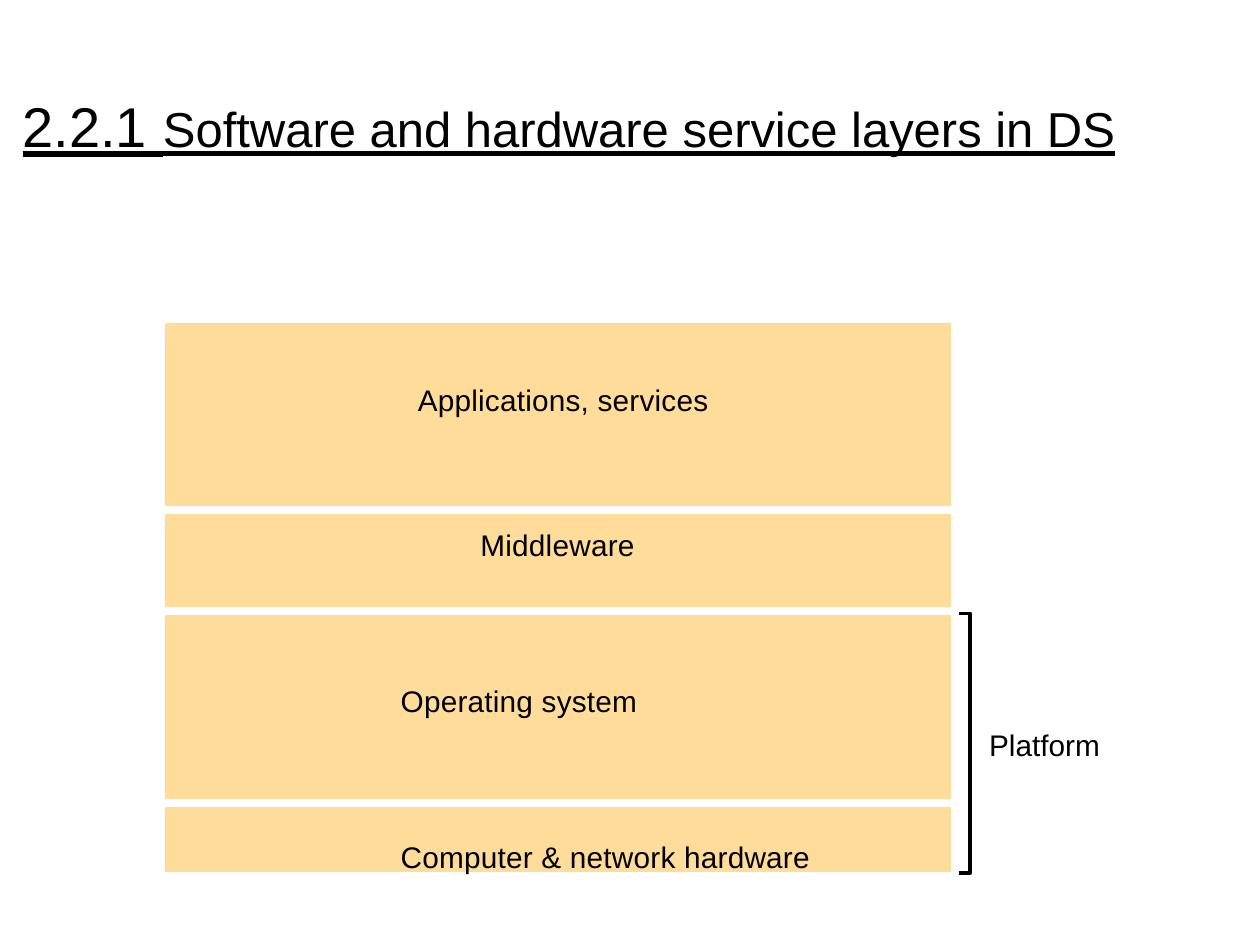
import dataclasses

import pptx
import pptx.dml.color
import pptx.enum.shapes
import pptx.enum.text
import pptx.util

Inches = pptx.util.Inches
Pt = pptx.util.Pt
RGB = pptx.dml.color.RGBColor
ALIGN = pptx.enum.text.PP_ALIGN
HEAVY = pptx.enum.text.MSO_UNDERLINE.HEAVY_LINE


@dataclasses.dataclass(frozen=True)
class Theme:
    """Colours, font and type sizes of the slide."""
    ink: RGB = RGB(0, 0, 0)
    layer: RGB = RGB(0xFF, 0xDC, 0x99)
    gap: RGB = RGB(0xFF, 0xFF, 0xFF)
    font: str = "Arial"
    number: float = 32
    title: float = 28
    label: float = 17


THEME = Theme()


def add_run(p, text, size, underline=None, spacing=0):
    """Append one run in the theme font."""
    r = p.add_run()
    r.text = text
    r.font.name = THEME.font
    r.font.size = Pt(size)
    r.font.color.rgb = THEME.ink
    r.font.underline = underline
    r.font._element.set("spc", str(spacing))


def set_frame(tf, left=0, top=0):
    """Prepare a top-anchored frame with the given margins."""
    tf.word_wrap = True
    tf.auto_size = pptx.enum.text.MSO_AUTO_SIZE.NONE
    tf.vertical_anchor = pptx.enum.text.MSO_ANCHOR.TOP
    tf.margin_left, tf.margin_top = Inches(left), Inches(top)
    tf.margin_right = tf.margin_bottom = 0
    return tf


def add_title(s, left, top, width, height):
    """Fill the title placeholder with number and heading."""
    sp = s.shapes.title
    sp.left, sp.top = Inches(left), Inches(top)
    sp.width, sp.height = Inches(width), Inches(height)
    p = set_frame(sp.text_frame, 0.01, 0.01).paragraphs[0]
    p.alignment = ALIGN.LEFT
    add_run(p, "2.2.1 ", THEME.number, HEAVY)
    add_run(p, "Software and hardware service layers in DS", THEME.title, HEAVY)


def add_layers(s, left, top, width):
    """Draw hardware, the software block and the middleware band in it."""
    for offset, height in [(3.82, 0.6), (0, 3.84), (1.52, 0.8)]:
        sp = s.shapes.add_shape(
            pptx.enum.shapes.MSO_SHAPE.RECTANGLE,
            Inches(left), Inches(top + offset), Inches(width), Inches(height))
        sp.shadow.inherit = False
        sp.fill.solid()
        sp.fill.fore_color.rgb = THEME.layer
        sp.line.color.rgb = THEME.gap
        sp.line.width = Pt(4.6)


def add_labels(s, left, top, width, height, labels):
    """Write the layer names as spaced paragraphs of one text box."""
    tb = s.shapes.add_textbox(Inches(left), Inches(top),
                              Inches(width), Inches(height))
    tf = set_frame(tb.text_frame, top=0.7)
    for i, (text, align, indent, before) in enumerate(labels):
        p = tf.add_paragraph() if i else tf.paragraphs[0]
        p.alignment = align
        p.space_before = Pt(before)
        p._p.get_or_add_pPr().set("marL", str(Inches(indent)))
        add_run(p, text, THEME.label, spacing=10)


def add_platform(s, left, top, width, height):
    """Draw the bracket with its label to the right."""
    right, bottom = left + width, top + height
    builder = s.shapes.build_freeform(Inches(left), Inches(top))
    corners = [(right, top), (right, bottom), (left, bottom)]
    builder.add_line_segments(
        [(Inches(x), Inches(y)) for x, y in corners], close=False)
    sp = builder.convert_to_shape()
    sp.shadow.inherit = False
    sp.fill.background()
    sp.line.color.rgb = THEME.ink
    sp.line.width = Pt(2.16)
    tb = s.shapes.add_textbox(Inches(right + 0.13), Inches(top + 0.88),
                              Inches(0.91), Inches(0.3))
    p = set_frame(tb.text_frame, 0.02, 0.02).paragraphs[0]
    add_run(p, "Platform", THEME.label)


def build():
    """Build and save the presentation."""
    prs = pptx.Presentation()
    prs.slide_width, prs.slide_height = Inches(10), Inches(7.5)
    s = prs.slides.add_slide(prs.slide_layouts[5])
    add_title(s, 0.17, 0.72, 9.58, 0.55)
    add_layers(s, 1.28, 2.53, 6.3)
    add_labels(s, 0.92, 2.33, 6.92, 4.61, [
        ("Applications, services", ALIGN.CENTER, 0.18, 0),
        ("Middleware", ALIGN.CENTER, 0.09, 62.7),
        ("Operating system", ALIGN.LEFT, 2.26, 68.5),
        ("Computer & network hardware", ALIGN.LEFT, 2.26, 68.5),
    ])
    add_platform(s, 7.61, 4.87, 0.09, 2.06)
    prs.save("out.pptx")


build()
